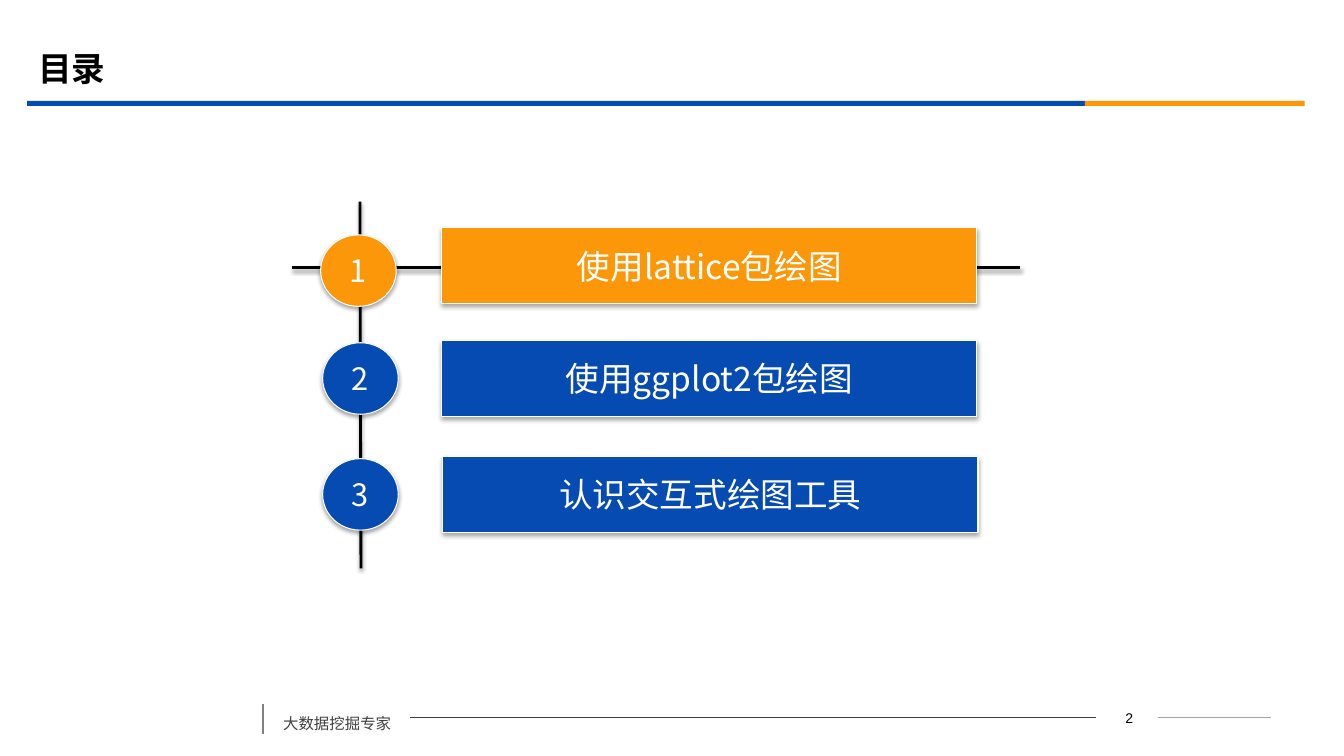
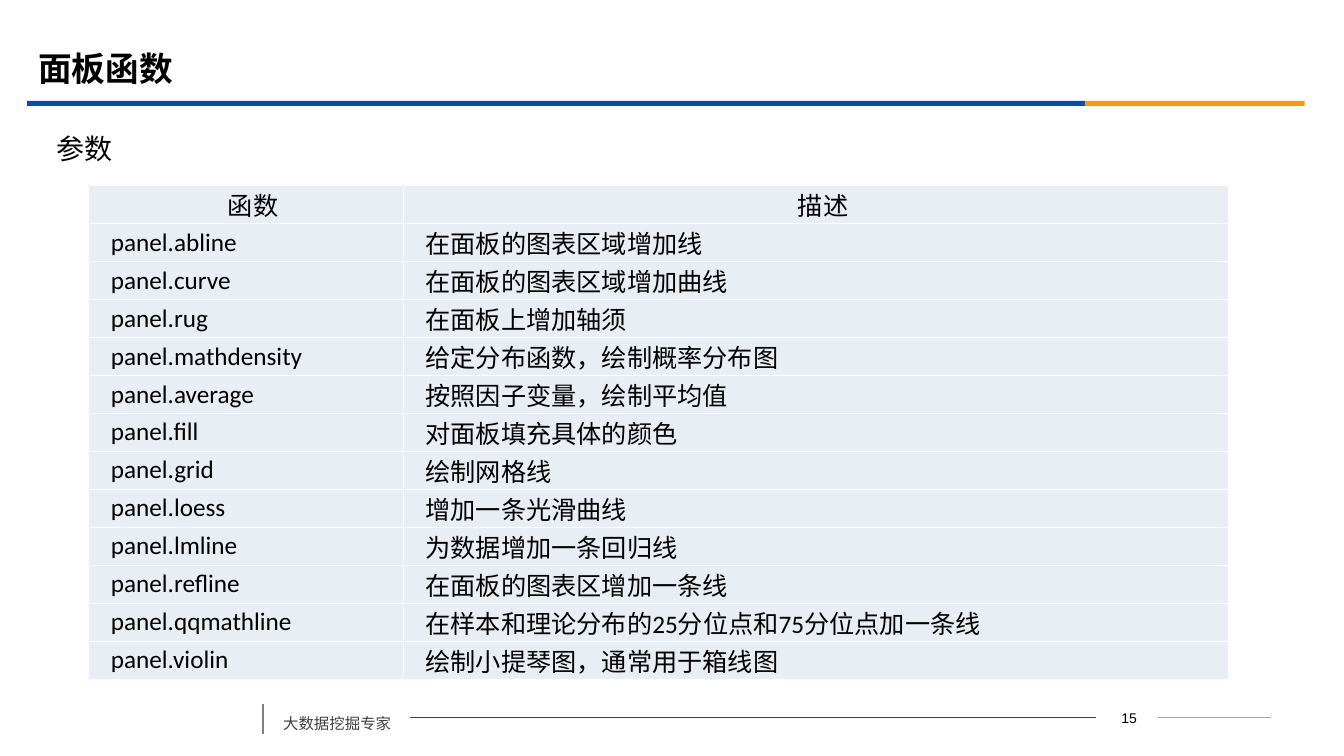
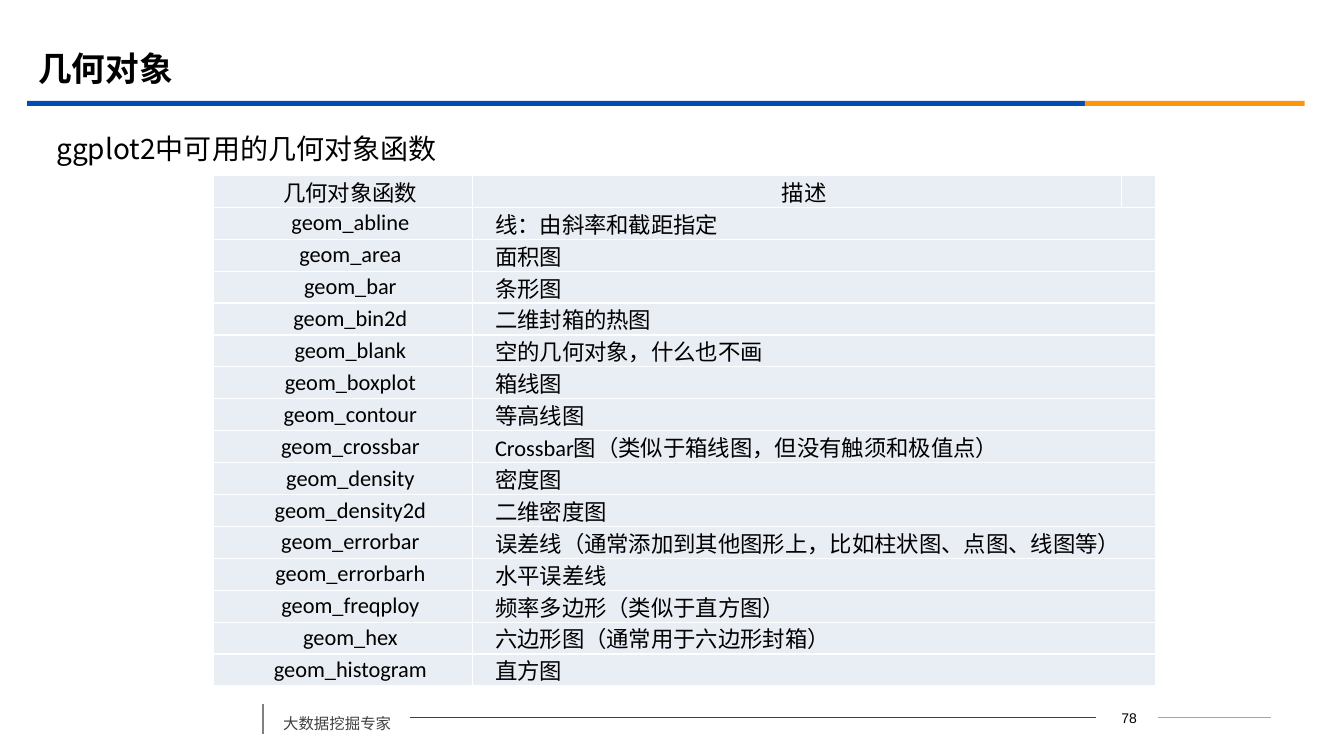
from pptx import Presentation
from pptx.dml.color import RGBColor
from pptx.enum.shapes import MSO_CONNECTOR as Connector, MSO_SHAPE as Shape
from pptx.enum.text import MSO_ANCHOR as Anchor, PP_ALIGN as Align
from pptx.oxml import parse_xml
from pptx.oxml.ns import nsdecls, qn
from pptx.util import Pt

PX = 9144  # EMU in one px, 100 px to the inch
BLUE, ORANGE, BLACK, WHITE = "064BB2", "FB9708", "000000", "FFFFFF"
DARK, GREY, PALE, CELL = "404040", "808080", "A6A6A6", "E9EDF4"
SANS, LATIN, NUMBER = "Noto Sans CJK SC", "Calibri", "Arial"

AGENDA = [  # label, colour, circle offset, bar offset
    ("使用lattice包绘图", ORANGE, (28, 33), (148, 26)),
    ("使用ggplot2包绘图", BLUE, (30, 140), (148, 138)),
    ("认识交互式绘图工具", BLUE, (30, 255), (149, 253)),
]
PANEL_FUNCTIONS = [
    ("函数", "描述"),
    ("panel.abline", "在面板的图表区域增加线"),
    ("panel.curve", "在面板的图表区域增加曲线"),
    ("panel.rug", "在面板上增加轴须"),
    ("panel.mathdensity", "给定分布函数，绘制概率分布图"),
    ("panel.average", "按照因子变量，绘制平均值"),
    ("panel.fill", "对面板填充具体的颜色"),
    ("panel.grid", "绘制网格线"),
    ("panel.loess", "增加一条光滑曲线"),
    ("panel.lmline", "为数据增加一条回归线"),
    ("panel.refline", "在面板的图表区增加一条线"),
    ("panel.qqmathline", "在样本和理论分布的25分位点和75分位点加一条线"),
    ("panel.violin", "绘制小提琴图，通常用于箱线图"),
]
GEOMETRIES = [
    ("几何对象函数", "描述"),
    ("geom_abline", "线：由斜率和截距指定"),
    ("geom_area", "面积图"),
    ("geom_bar", "条形图"),
    ("geom_bin2d", "二维封箱的热图"),
    ("geom_blank", "空的几何对象，什么也不画"),
    ("geom_boxplot", "箱线图"),
    ("geom_contour", "等高线图"),
    ("geom_crossbar", "Crossbar图（类似于箱线图，但没有触须和极值点）"),
    ("geom_density", "密度图"),
    ("geom_density2d", "二维密度图"),
    ("geom_errorbar", "误差线（通常添加到其他图形上，比如柱状图、点图、线图等）"),
    ("geom_errorbarh", "水平误差线"),
    ("geom_freqploy", "频率多边形（类似于直方图）"),
    ("geom_hex", "六边形图（通常用于六边形封箱）"),
    ("geom_histogram", "直方图"),
]


def rgb(color):
    return RGBColor.from_string(color)


def px(*lengths):
    return [length * PX for length in lengths]


def set_all(target, values):
    for name, value in values.items():
        setattr(target, name, value)


def write(frame, text, size, color=BLACK, font=SANS, bold=False, **paragraph_format):
    """Put one formatted paragraph into a text frame."""
    paragraph = frame.paragraphs[0]
    set_all(paragraph, paragraph_format)
    run = paragraph.add_run()
    run.text = text
    set_all(run.font, {"size": Pt(size), "name": font, "bold": bold})
    run.font.color.rgb = rgb(color)
    east_asian = SANS if font == LATIN else font
    run.font._element.find(qn("a:latin")).addnext(
        parse_xml(f'<a:ea {nsdecls("a")} typeface="{east_asian}"/>'))
    return paragraph


def set_shadow(shape, opacity=0, distance=0):
    """Give a shape or connector a soft shadow below it, or none."""
    shadow = "" if not opacity else (
        f'<a:outerShdw blurRad="{Pt(3.1)}" dist="{Pt(distance)}" dir="5400000" rotWithShape="0">'
        f'<a:srgbClr val="{BLACK}"><a:alpha val="{opacity * 1000}"/></a:srgbClr></a:outerShdw>')
    shape._element.spPr.append(
        parse_xml(f'<a:effectLst {nsdecls("a")}>{shadow}</a:effectLst>'))


def add_line(slide, start, end, color, width, **shadow):
    line = slide.shapes.add_connector(Connector.STRAIGHT, *px(*start, *end))
    line.line.color.rgb = rgb(color)
    line.line.width = Pt(width)
    set_shadow(line, **shadow)
    return line


def add_block(slide, kind, box, color):
    block = slide.shapes.add_shape(kind, *px(*box))
    block.shadow.inherit = False
    block.fill.solid()
    block.fill.fore_color.rgb = rgb(color)
    block.line.fill.background()
    return block


def add_text(slide, box, text, size, anchor=Anchor.TOP, **text_format):
    text_box = slide.shapes.add_textbox(*px(*box))
    set_all(text_box.text_frame, {"word_wrap": True, "vertical_anchor": anchor})
    write(text_box.text_frame, text, size, **text_format)
    return text_box


def decorate_layout(layout, slide):
    """Draw the title band and footer once and move them to the layout."""
    parts = [
        add_block(slide, Shape.RECTANGLE, (27, 100, 1049, 5), BLUE),
        add_block(slide, Shape.RECTANGLE, (1076, 100, 218, 5), ORANGE),
        add_line(slide, (1149, 712), (1261, 712), PALE, 0.75),
        add_line(slide, (407, 712), (1087, 712), DARK, 0.75),
        add_line(slide, (261, 698), (261, 728), GREY, 1.25),
        add_text(slide, (271, 694, 136, 38), "大数据挖掘专家", 11, color=DARK,
                 line_spacing=1.5, space_before=Pt(6)),
    ]
    for part in parts:
        layout.shapes.element.append(part.element)


def add_titled_slide(presentation, title, number):
    layout = presentation.slide_layouts[5]
    slide = presentation.slides.add_slide(layout)
    if len(presentation.slides) == 1:
        decorate_layout(layout, slide)
    placeholder = slide.shapes.title
    set_all(placeholder, dict(zip(("left", "top", "width", "height"), px(28, 39, 1200, 58))))
    placeholder.text_frame.vertical_anchor = Anchor.MIDDLE
    write(placeholder.text_frame, title, 24, bold=True, alignment=Align.LEFT)
    add_text(slide, (1087, 699, 62, 25), f" {number}", 10, font=NUMBER, alignment=Align.CENTER)
    return slide


def add_label(slide, kind, box, color, text, size):
    """Place a shadowed shape with centred white text."""
    label = add_block(slide, kind, box, color)
    label._element.spPr.remove(label._element.spPr.find(qn("a:effectLst")))
    label.line.color.rgb = rgb(WHITE)
    label.line.width = Pt(0.75)
    set_shadow(label, opacity=35, distance=1.8)
    set_all(label.text_frame, {"word_wrap": False, "vertical_anchor": Anchor.MIDDLE})
    write(label.text_frame, text, size, WHITE, alignment=Align.CENTER)


def add_agenda(slide, left, top):
    # Crossing lines behind the entries
    for start, end in (((67, 0), (68, 364)), ((0, 65), (722, 65))):
        add_line(slide, (left + start[0], top + start[1]), (left + end[0], top + end[1]),
                 BLACK, 2, opacity=38, distance=1.6)
    # Numbered circles and bars
    for number, (text, color, circle, bar) in enumerate(AGENDA, 1):
        add_label(slide, Shape.ACTION_BUTTON_CUSTOM,
                  (left + bar[0], top + bar[1], 531, 75), color, text, 24)
        add_label(slide, Shape.OVAL,
                  (left + circle[0], top + circle[1], 75, 71), color, str(number), 22)


def style_cell(cell):
    set_all(cell, {"margin_left": 8 * PX, "margin_right": 8 * PX, "margin_top": 0,
                   "margin_bottom": 0, "vertical_anchor": Anchor.MIDDLE})
    cell.fill.solid()
    cell.fill.fore_color.rgb = rgb(CELL)
    properties = cell._tc.get_or_add_tcPr()
    for index, side in enumerate(("lnL", "lnR", "lnT", "lnB")):
        properties.insert(index, parse_xml(
            f'<a:{side} {nsdecls("a")} w="{Pt(1)}"><a:solidFill>'
            f'<a:srgbClr val="{WHITE}"/></a:solidFill></a:{side}>'))


def add_function_table(slide, box, widths, rows, size, name_alignment):
    """Place a two-part table; a third column joins the description below the header."""
    table = slide.shapes.add_table(len(rows), len(widths), *px(*box)).table
    for column, width in zip(table.columns, widths):
        column.width = width * PX
    for row_index, row in enumerate(rows):
        table.rows[row_index].height = box[3] * PX // len(rows)
        for column_index in range(len(widths)):
            style_cell(table.cell(row_index, column_index))
        if row_index and len(widths) > 2:
            table.cell(row_index, 1).merge(table.cell(row_index, 2))
        for column_index, text in enumerate(row):
            alignment = (name_alignment, Align.JUSTIFY)[column_index] if row_index else Align.CENTER
            paragraph = write(table.cell(row_index, column_index).text_frame, text, size,
                              font=LATIN, alignment=alignment)
            paragraph._p.get_or_add_pPr().set("indent", str(14 * PX))


def add_table_slide(presentation, title, number, heading, **table_format):
    slide = add_titled_slide(presentation, title, number)
    add_function_table(slide, **table_format)
    add_text(slide, (46, 124, 1215, 47), heading, 20, anchor=Anchor.MIDDLE)


def main():
    presentation = Presentation()
    set_all(presentation, {"slide_width": 1333 * PX, "slide_height": 750 * PX})
    add_agenda(add_titled_slide(presentation, "目录", 2), 290, 200)
    add_table_slide(presentation, "面板函数", 15, "参数", box=(88, 184, 1131, 490),
                    widths=(312, 819), rows=PANEL_FUNCTIONS, size=18,
                    name_alignment=Align.JUSTIFY)
    add_table_slide(presentation, "几何对象", 78, "ggplot2中可用的几何对象函数",
                    box=(212, 174, 934, 507), widths=(257, 643, 34), rows=GEOMETRIES,
                    size=16, name_alignment=Align.CENTER)
    presentation.save("out.pptx")


if __name__ == "__main__":
    main()
